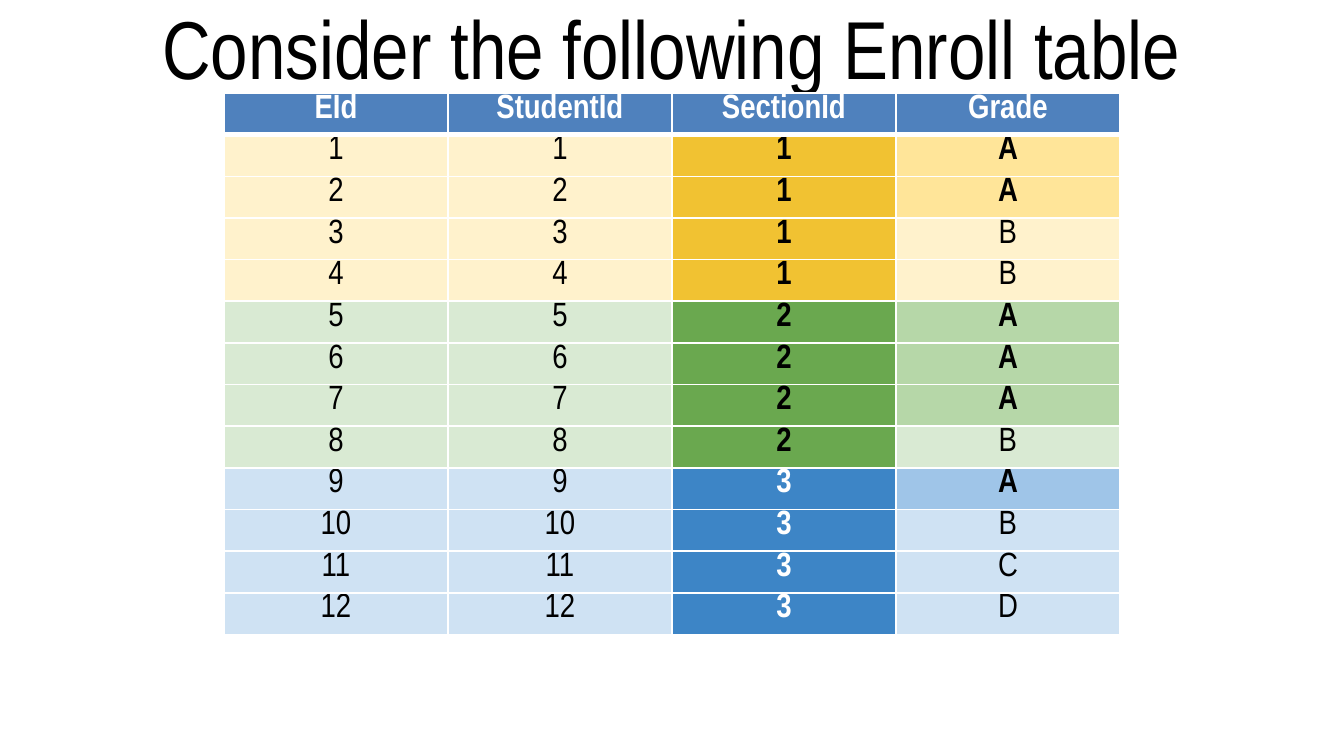
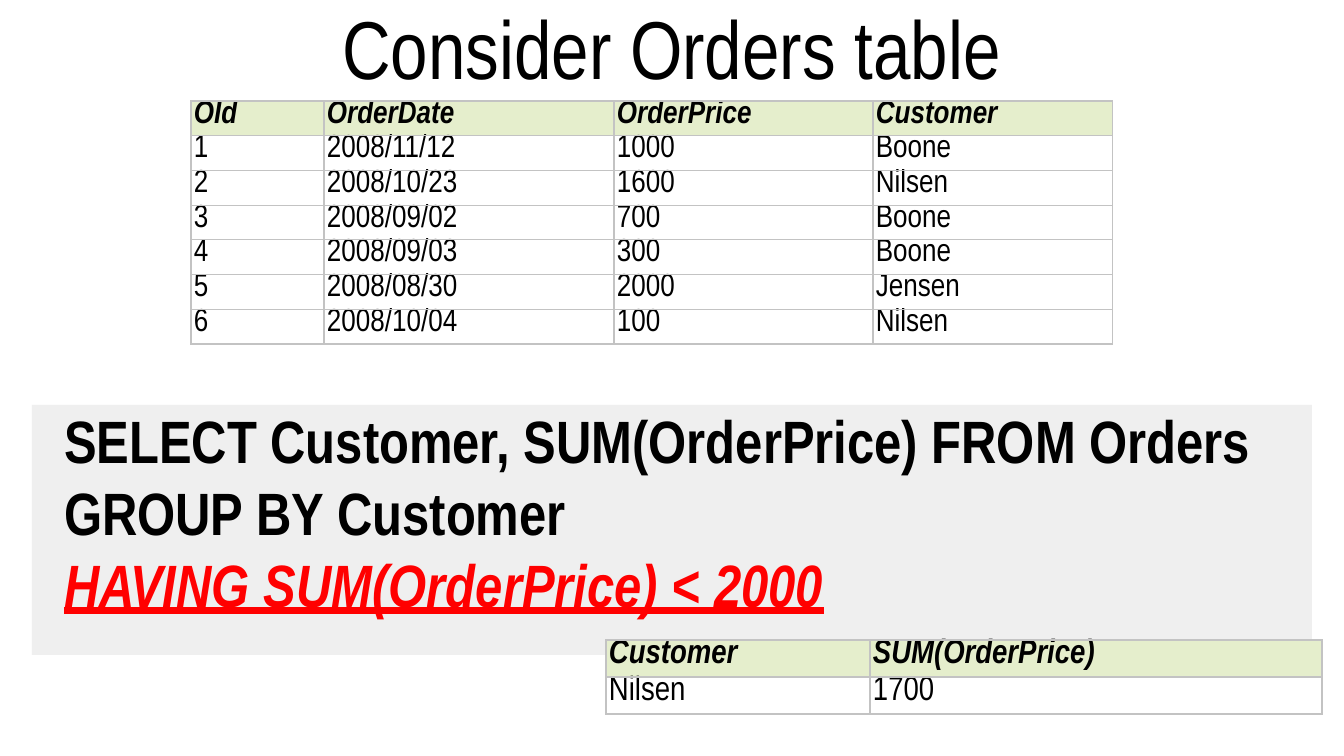
import dataclasses

import pptx
import pptx.dml.color
import pptx.enum.shapes
import pptx.enum.text
import pptx.oxml
import pptx.oxml.ns
import pptx.util

SCALE = 914400 / 134.4
PAGE_WIDTH, PAGE_HEIGHT = 1344, 756
FONT = "Arial Narrow"
BLACK, WHITE, RED = "000000", "FFFFFF", "FF0000"
HEADER_BLUE, HEADER_GREEN = "4F81BD", "E5EECC"
PANEL_GREY, RULE_GREY = "EFEFEF", "C3C3C3"
CENTER = pptx.enum.text.PP_ALIGN.CENTER
LEFT = pptx.enum.text.PP_ALIGN.LEFT
TOP = pptx.enum.text.MSO_ANCHOR.TOP
MIDDLE = pptx.enum.text.MSO_ANCHOR.MIDDLE


@dataclasses.dataclass
class Cell:
    text: str
    fill: str = WHITE
    color: str = BLACK
    bold: bool = False
    italic: bool = False


@dataclasses.dataclass
class TableStyle:
    align: pptx.enum.text.PP_ALIGN
    side_margin: int
    end_margin: int
    rule_color: str
    rule_width: float
    header_rule_width: float


@dataclasses.dataclass
class Section:
    grades: str
    light: str
    medium: str
    strong: str
    text_color: str = BLACK


ENROLL_STYLE = TableStyle(CENTER, 13, 5, WHITE, 1, 3)
ORDERS_STYLE = TableStyle(LEFT, 3, 3, RULE_GREY, 0.75, 0.75)

SECTIONS = [
    Section("AABB", "FFF2CC", "FFE599", "F1C232"),
    Section("AAAB", "D9EAD3", "B6D7A8", "6AA84F"),
    Section("ABCD", "CFE2F3", "9FC5E8", "3D85C6", WHITE),
]

ORDERS = [
    ("2008/11/12", "1000", "Boone"),
    ("2008/10/23", "1600", "Nilsen"),
    ("2008/09/02", "700", "Boone"),
    ("2008/09/03", "300", "Boone"),
    ("2008/08/30", "2000", "Jensen"),
    ("2008/10/04", "100", "Nilsen"),
]


def px(length):
    return pptx.util.Emu(round(length * SCALE))


def rgb(color):
    return pptx.dml.color.RGBColor.from_string(color)


def place(box, left, top, width, height):
    box.left, box.top = px(left), px(top)
    box.width, box.height = px(width), px(height)


def add_span(para, text, size, color=BLACK, bold=False, italic=False, underline=False):
    span = para.add_run()
    span.text = text
    font = span.font
    font.name, font.size = FONT, pptx.util.Pt(size)
    font.color.rgb = rgb(color)
    font.bold, font.italic, font.underline = bold, italic, underline


def set_frame(frame, anchor):
    frame.auto_size = pptx.enum.text.MSO_AUTO_SIZE.NONE
    frame.word_wrap = True
    frame.vertical_anchor = anchor
    frame.margin_left = frame.margin_right = px(13)
    frame.margin_top = frame.margin_bottom = px(7)


def add_page(deck, title, layout):
    page = deck.slides.add_slide(deck.slide_layouts[layout])
    box = page.shapes.title
    place(box, 0, 0, PAGE_WIDTH, 93)
    set_frame(box.text_frame, MIDDLE)
    para = box.text_frame.paragraphs[0]
    para.alignment = CENTER
    add_span(para, title, 44)
    return page


def add_panel(page, left, top, width, height):
    panel = page.shapes.add_shape(
        pptx.enum.shapes.MSO_SHAPE.RECTANGLE, px(left), px(top), px(width), px(height))
    panel.shadow.inherit = False
    panel.fill.solid()
    panel.fill.fore_color.rgb = rgb(PANEL_GREY)
    panel.line.fill.background()
    page.shapes.title.element.addprevious(panel.element)


def add_query(page, lines, condition):
    box = page.placeholders[1]
    place(box, 0, 397, PAGE_WIDTH, 250)
    set_frame(box.text_frame, TOP)
    para = box.text_frame.paragraphs[0]
    properties = para._p.get_or_add_pPr()
    properties.set("marL", str(px(51)))
    properties.set("indent", "0")
    properties.append(pptx.oxml.parse_xml(f"<a:buNone {pptx.oxml.ns.nsdecls('a')}/>"))
    para.alignment = LEFT
    para.space_before = pptx.util.Pt(0)
    para.line_spacing = pptx.util.Pt(38.4)
    for line in lines:
        add_span(para, line, 32, bold=True)
        para.add_line_break()
    add_span(para, condition, 32, RED, bold=True, italic=True, underline=True)


def set_borders(cell, color, widths):
    properties = cell._tc.get_or_add_tcPr()
    for side, width in widths.items():
        properties.append(pptx.oxml.parse_xml(
            f'<a:ln{side} {pptx.oxml.ns.nsdecls("a")} w="{pptx.util.Pt(width)}">'
            f'<a:solidFill><a:srgbClr val="{color}"/></a:solidFill></a:ln{side}>'))


def fill_cell(cell, content, size, style, top_rule, bottom_rule):
    side_rule = style.rule_width
    set_borders(cell, style.rule_color,
                {"L": side_rule, "R": side_rule, "T": top_rule, "B": bottom_rule})
    cell.fill.solid()
    cell.fill.fore_color.rgb = rgb(content.fill)
    cell.margin_left = cell.margin_right = px(style.side_margin)
    cell.margin_top = cell.margin_bottom = px(style.end_margin)
    cell.vertical_anchor = TOP
    para = cell.text_frame.paragraphs[0]
    para.alignment = style.align
    para.line_spacing = 0.8
    add_span(para, content.text, size, content.color, content.bold, content.italic)


def add_grid(page, left, top, widths, height, rows, size, style):
    table = page.shapes.add_table(
        len(rows), len(widths), px(left), px(top), px(sum(widths)), px(height)).table
    for column, width in zip(table.columns, widths):
        column.width = px(width)
    for index, row in enumerate(rows):
        table.rows[index].height = px(height / len(rows))
        top_rule = style.header_rule_width if index == 1 else style.rule_width
        bottom_rule = style.header_rule_width if index == 0 else style.rule_width
        for position, content in enumerate(row):
            fill_cell(table.cell(index, position), content, size, style, top_rule, bottom_rule)


def enroll_rows():
    names = ["EId", "StudentId", "SectionId", "Grade"]
    rows = [[Cell(name, HEADER_BLUE, WHITE, bold=True) for name in names]]
    for number, section in enumerate(SECTIONS, 1):
        for grade in section.grades:
            identifier = Cell(str(len(rows)), section.light)
            best = grade == "A"
            rows.append([
                identifier,
                identifier,
                Cell(str(number), section.strong, section.text_color, bold=True),
                Cell(grade, section.medium if best else section.light, bold=best),
            ])
    return rows


def order_rows(names, records):
    header = [Cell(name, HEADER_GREEN, bold=True, italic=True) for name in names]
    return [header] + [[Cell(value) for value in record] for record in records]


def build_enroll(deck):
    page = add_page(deck, "Consider the following Enroll table", 5)
    add_grid(page, 224, 93, [224] * 4, 542, enroll_rows(), 18, ENROLL_STYLE)


def build_orders(deck):
    page = add_page(deck, "Consider Orders table", 1)
    add_panel(page, 32, 405, 1280, 250)
    add_query(page,
              ["SELECT Customer, SUM(OrderPrice) FROM Orders", "GROUP BY Customer"],
              "HAVING SUM(OrderPrice) < 2000")
    records = [(str(number), *order) for number, order in enumerate(ORDERS, 1)]
    orders = order_rows(["OId", "OrderDate", "OrderPrice", "Customer"], records)
    add_grid(page, 191, 101, [133, 290, 259, 240], 243, orders, 17, ORDERS_STYLE)
    totals = order_rows(["Customer", "SUM(OrderPrice)"], [("Nilsen", "1700")])
    add_grid(page, 606, 640, [264, 452], 74, totals, 18, ORDERS_STYLE)


def main():
    deck = pptx.Presentation()
    deck.slide_width, deck.slide_height = px(PAGE_WIDTH), px(PAGE_HEIGHT)
    build_enroll(deck)
    build_orders(deck)
    deck.save("out.pptx")


if __name__ == "__main__":
    main()
